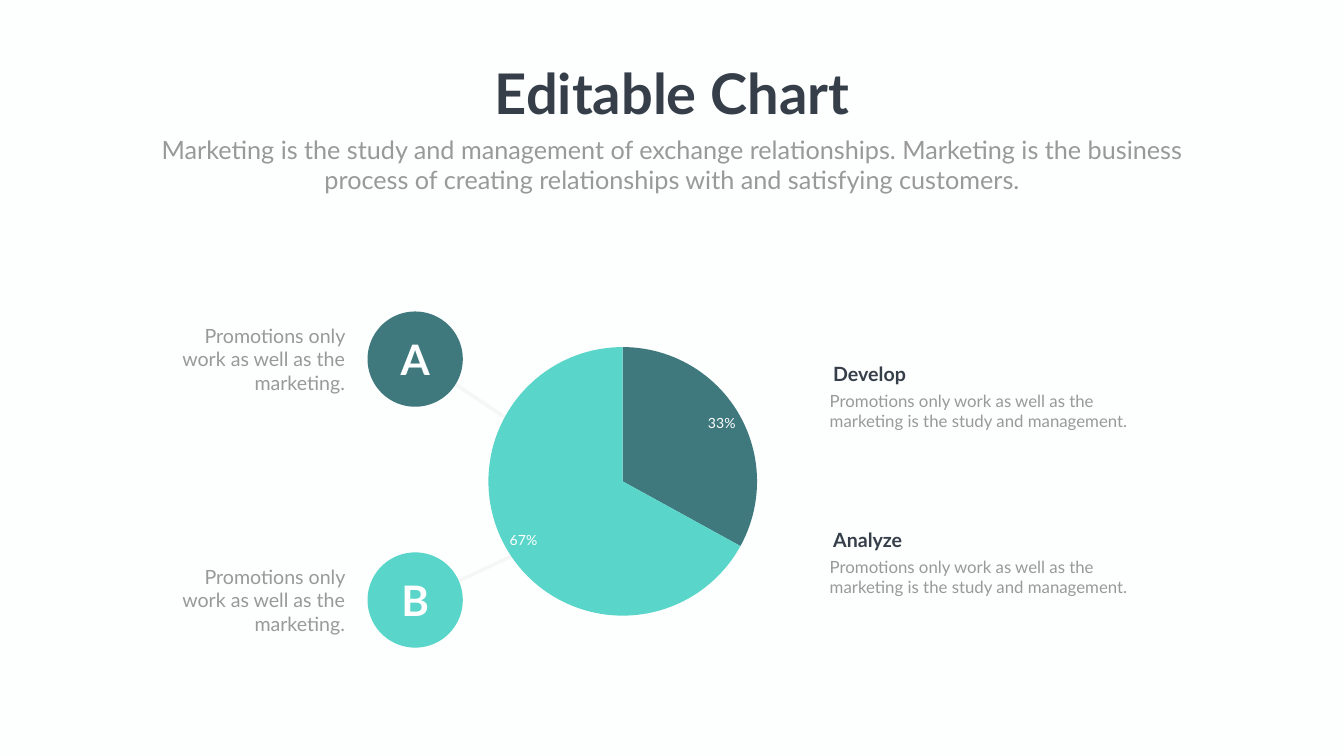
from lxml.etree import SubElement
from pptx import Presentation
from pptx.chart.data import CategoryChartData
from pptx.dml.color import RGBColor
from pptx.enum.chart import XL_CHART_TYPE, XL_LABEL_POSITION
from pptx.enum.shapes import MSO_SHAPE
from pptx.enum.text import MSO_ANCHOR, PP_ALIGN
from pptx.oxml import parse_xml
from pptx.oxml.ns import nsdecls, qn
from pptx.util import Pt

PX = 9144  # EMU per px, 100 px to the inch
BACKGROUND = RGBColor(0xFD, 0xFF, 0xFE)
DARK = RGBColor(0x35, 0x3E, 0x49)
GRAY = RGBColor(0x98, 0x99, 0x98)
LINE = RGBColor(0xD9, 0xD9, 0xD9)
TEAL = RGBColor(0x3F, 0x79, 0x7D)
MINT = RGBColor(0x59, 0xD5, 0xC9)
WHITE = RGBColor(0xFF, 0xFF, 0xFF)

presentation = Presentation()
presentation.slide_width = 2666 * PX
presentation.slide_height = 1500 * PX
slide = presentation.slides.add_slide(presentation.slide_layouts[5])
slide.background.fill.solid()
slide.background.fill.fore_color.rgb = BACKGROUND
shapes = slide.shapes


def place(left, top, width, height):
    return [length * PX for length in (left, top, width, height)]


def write(shape, text, size, color=GRAY, bold=False, align=PP_ALIGN.LEFT,
          anchor=MSO_ANCHOR.TOP, wrap=True):
    frame = shape.text_frame
    frame.word_wrap = wrap
    frame.vertical_anchor = anchor
    frame.text = text
    paragraph = frame.paragraphs[0]
    paragraph.alignment = align
    font = paragraph.runs[0].font
    font.name = "Lato"
    font.size = Pt(size)
    font.bold = bold
    font.color.rgb = color


# Heading
title = shapes.title
title.left, title.top, title.width, title.height = place(965, 112, 737, 145)
write(title, "Editable Chart", 80, color=DARK, bold=True,
      align=PP_ALIGN.CENTER, wrap=False)
subtitle = shapes.add_textbox(*place(292, 261, 2082, 131))
write(subtitle, "Marketing is the study and management of exchange relationships. "
      "Marketing is the business process of creating relationships with and "
      "satisfying customers.", 36, align=PP_ALIGN.CENTER)

# Line from each badge to the middle of the pie
builder = shapes.build_freeform(829, 713, scale=PX)
builder.add_line_segments([(1249, 993), (829, 1191)], close=False)
leader = builder.convert_to_shape()
leader.shadow.inherit = False
leader.fill.background()
leader.line.color.rgb = LINE
leader.line.width = Pt(5)
line_color = leader.element.find(f'.//{qn("a:ln")}//{qn("a:srgbClr")}')
SubElement(line_color, qn("a:alpha"), val="20000")

# Lettered badges with their captions
for letter, color, top in (("A", TEAL, 618), ("B", MINT, 1096)):
    badge = shapes.add_shape(MSO_SHAPE.OVAL, *place(729, top, 189, 189))
    badge.shadow.inherit = False
    badge.fill.solid()
    badge.fill.fore_color.rgb = color
    badge.line.fill.background()
    write(badge, letter, 60, color=WHITE, bold=True, align=PP_ALIGN.CENTER,
          anchor=MSO_ANCHOR.MIDDLE)
    caption = shapes.add_textbox(*place(339, top + 19, 355, 151))
    write(caption, "Promotions only work as well as the marketing.", 28,
          align=PP_ALIGN.RIGHT)

# Pie chart
chart_data = CategoryChartData()
chart_data.categories = ["1", "2"]
chart_data.add_series("Series 1", (33, 67))
chart = shapes.add_chart(XL_CHART_TYPE.PIE, *place(952, 638, 561, 628), chart_data).chart
chart.has_title = False
chart.has_legend = False
chart.font.name = "Calibri"
chart.font.size = Pt(10)
chart.font.color.rgb = GRAY
plot = chart.plots[0]
plot.vary_by_categories = True
for index, color in enumerate((TEAL, MINT)):
    point = plot.series[0].points[index]
    point.format.fill.solid()
    point.format.fill.fore_color.rgb = color
    point.format.line.fill.background()
labels = plot.series[0].data_labels
labels.show_percentage = True
labels.show_value = False
labels.number_format = "0%"
labels.number_format_is_linked = False
labels.position = XL_LABEL_POSITION.INSIDE_END
labels.font.name = "Lato"
labels.font.size = Pt(20)
labels.font.color.rgb = WHITE

plot_area = chart.element.find(".//" + qn("c:plotArea"))
for layout in plot_area.findall(qn("c:layout")):
    plot_area.remove(layout)
plot_area.insert(0, parse_xml(
    f'<c:layout {nsdecls("c")}><c:manualLayout><c:layoutTarget val="inner"/>'
    '<c:xMode val="edge"/><c:yMode val="edge"/><c:x val="0.03"/><c:y val="0.08"/>'
    '<c:w val="0.95"/><c:h val="0.85"/></c:manualLayout></c:layout>'))

# Explanations on the right
for heading, top in (("Develop", 713), ("Analyze", 1043)):
    description = shapes.add_textbox(*place(1636, top + 57, 691, 91))
    write(description, "Promotions only work as well as the marketing is the "
          "study and management.", 24)
    heading_box = shapes.add_textbox(*place(1643, top, 220, 57))
    write(heading_box, heading, 28, color=DARK, bold=True)

presentation.save("out.pptx")
